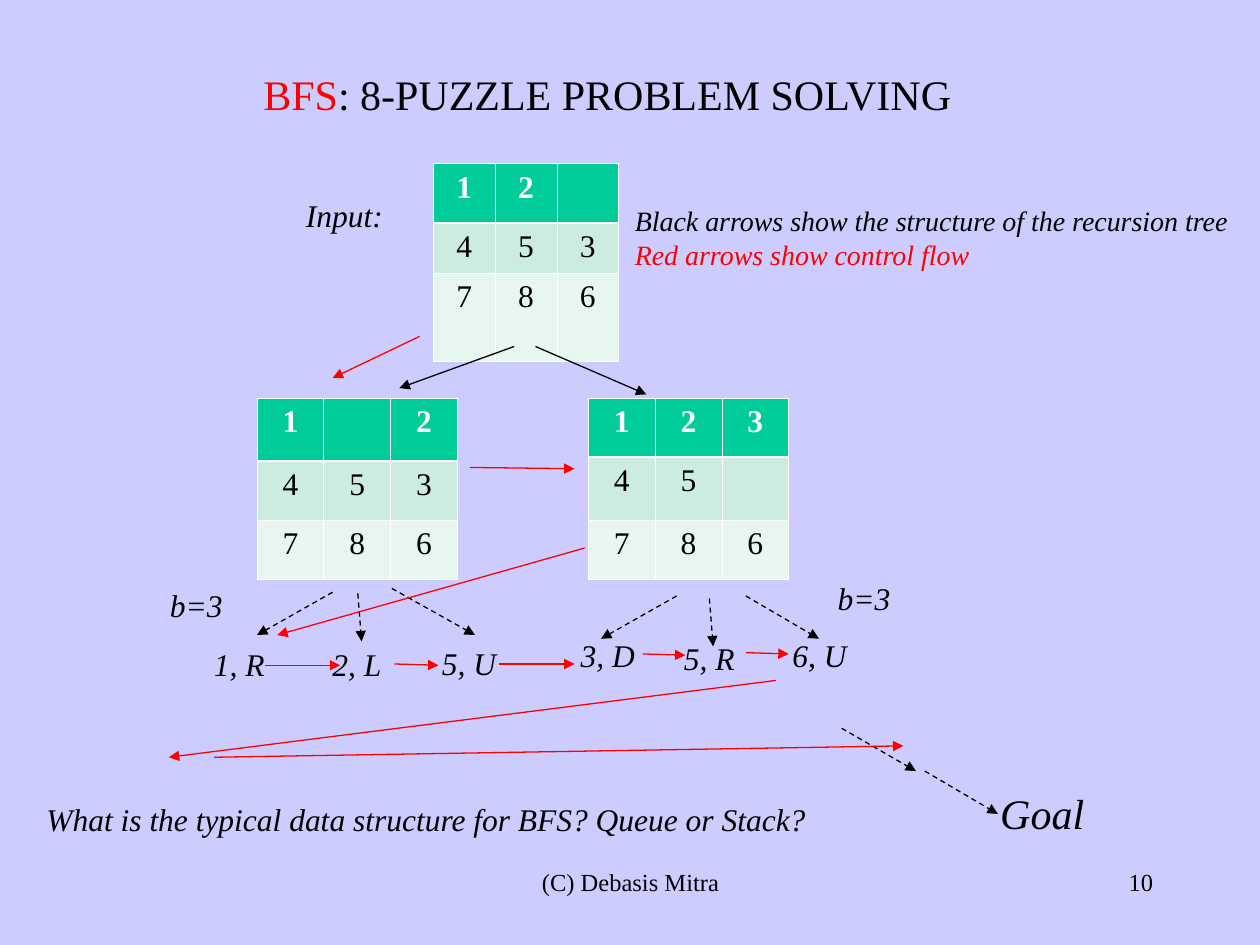
import pptx
import pptx.dml.color
import pptx.enum.dml
import pptx.enum.shapes
import pptx.enum.text
import pptx.oxml
import pptx.oxml.ns
import pptx.util
from lxml import etree

Inches, Pt = pptx.util.Inches, pptx.util.Pt
RGBColor = pptx.dml.color.RGBColor
PP_ALIGN = pptx.enum.text.PP_ALIGN
qn = pptx.oxml.ns.qn

BLACK = RGBColor(0x00, 0x00, 0x00)
WHITE = RGBColor(0xFF, 0xFF, 0xFF)
RED = RGBColor(0xFF, 0x00, 0x00)
LAVENDER = RGBColor(0xCC, 0xCC, 0xFF)
ROW_FILLS = [RGBColor(0x00, 0xCC, 0x99), RGBColor(0xCB, 0xEC, 0xDE), RGBColor(0xE7, 0xF6, 0xEF)]
FONT = "Times New Roman"


def add_text(s, lines, left, top, width, height, size=18, italic=True, align=PP_ALIGN.LEFT):
    """Add a text box; lines is a list of (text, colour)."""
    tf = s.shapes.add_textbox(Inches(left), Inches(top), Inches(width), Inches(height)).text_frame
    tf.word_wrap = not italic
    if italic:
        tf.auto_size = pptx.enum.text.MSO_AUTO_SIZE.SHAPE_TO_FIT_TEXT
    for i, (text, color) in enumerate(lines):
        p = tf.paragraphs[0] if i == 0 else tf.add_paragraph()
        p.text = text
        p.alignment = align
        p.font.name = FONT
        p.font.size = Pt(size)
        p.font.italic = italic
        p.font.color.rgb = color


def add_arrow(s, x1, y1, x2, y2, color, dashed=False):
    line = s.shapes.add_connector(pptx.enum.shapes.MSO_CONNECTOR.STRAIGHT,
                                  Inches(x1), Inches(y1), Inches(x2), Inches(y2))
    line.line.color.rgb = color
    line.line.width = Pt(0.75)
    if dashed:
        line.line.dash_style = pptx.enum.dml.MSO_LINE.DASH
    etree.SubElement(line.line._get_or_add_ln(), qn("a:tailEnd"), type="triangle")
    etree.SubElement(line._element.spPr, qn("a:effectLst"))


prs = pptx.Presentation()
prs.slide_width, prs.slide_height = Inches(10), Inches(7.5)
s = prs.slides.add_slide(prs.slide_layouts[5])
s.background.fill.solid()
s.background.fill.fore_color.rgb = LAVENDER

# Title
title = s.shapes.title
title.left, title.top, title.width, title.height = Inches(0.57), Inches(0.24), Inches(8.5), Inches(1)
title.text_frame.vertical_anchor = pptx.enum.text.MSO_ANCHOR.MIDDLE
p = title.text_frame.paragraphs[0]
p.alignment = PP_ALIGN.CENTER
p.font.name = FONT
p.font.size = Pt(24)
for text, color in [("BFS", RED), (": 8-PUZZLE PROBLEM SOLVING", BLACK)]:
    r = p.add_run()
    r.text = text
    r.font.color.rgb = color

# Puzzle boards: left, top, column width, row heights, tiles (a space is the gap)
boards = [
    (3.44, 1.3, 0.49, [0.47, 0.4, 0.7], ["12 ", "453", "786"]),
    (4.67, 3.16, 0.53, [0.47, 0.5, 0.47], ["123", "45 ", "786"]),
    (2.04, 3.16, 0.53, [0.5, 0.47, 0.47], ["1 2", "453", "786"]),
]
for left, top, col_width, row_heights, tiles in boards:
    table = s.shapes.add_table(3, 3, Inches(left), Inches(top), Inches(3 * col_width),
                               Inches(sum(row_heights))).table
    for col in table.columns:
        col.width = Inches(col_width)
    for i, row in enumerate(table.rows):
        row.height = Inches(row_heights[i])
        for tile, cell in zip(tiles[i], row.cells):
            # White borders, thicker below the first row
            for side in ("L", "R", "T", "B"):
                thick = (i, side) in [(0, "B"), (1, "T")]
                ln = etree.SubElement(cell._tc.get_or_add_tcPr(), qn("a:ln" + side),
                                      w=str(Pt(1.47 if thick else 0.45)))
                fill = etree.SubElement(ln, qn("a:solidFill"))
                etree.SubElement(fill, qn("a:srgbClr"), val=str(WHITE))
            cell.fill.solid()
            cell.fill.fore_color.rgb = ROW_FILLS[i]
            p = cell.text_frame.paragraphs[0]
            p.text = tile.strip()
            p.alignment = PP_ALIGN.CENTER
            p.font.name = FONT
            p.font.size = Pt(18)
            p.font.bold = i == 0
            p.font.color.rgb = WHITE if i == 0 else BLACK

# Recursion tree: solid arrows to the boards, dashed ones to the moves and the goal
for ends in [(4.08, 2.75, 3.17, 3.08), (4.25, 2.75, 5.13, 3.13)]:
    add_arrow(s, *ends, BLACK)
for ends in [
    (2.64, 4.7, 2.04, 5.04), (2.84, 4.71, 2.87, 5.09), (3.11, 4.67, 3.77, 5.04),
    (5.37, 4.73, 4.77, 5.07), (5.63, 4.75, 5.66, 5.13), (5.92, 4.73, 6.5, 5.07),
    (6.68, 5.78, 7.27, 6.12), (7.34, 6.12, 7.92, 6.46),
]:
    add_arrow(s, *ends, BLACK, dashed=True)

# Labels
for text, left, top, width in [
    ("Input:", 2.33, 1.51, 0.81), ("b=3", 1.25, 4.6, 0.62), ("b=3", 6.55, 4.55, 0.62),
    ("1, R", 1.6, 5.07, 0.6), ("2, L", 2.54, 5.07, 0.59), ("5, U", 3.41, 5.06, 0.63),
    ("3, D", 4.51, 5, 0.63), ("5, R", 5.33, 5.02, 0.6), ("6, U", 6.19, 5, 0.63),
    ("What is the typical data structure for BFS? Queue or Stack?", 0.27, 6.3, 6.24),
]:
    add_text(s, [(text, BLACK)], left, top, width, 0.4)
add_text(s, [("Goal", BLACK)], 7.84, 6.2, 0.9, 0.5, size=24)

# Control flow
for ends in [
    (3.33, 2.67, 2.64, 3), (3.73, 3.71, 4.56, 3.72), (4.64, 4.35, 2.2, 5.04),
    (2.1, 5.28, 2.7, 5.28), (3.13, 5.27, 3.48, 5.28), (3.96, 5.27, 4.56, 5.27),
    (5.1, 5.19, 5.44, 5.2), (5.92, 5.18, 6.26, 5.19),
    (6.16, 5.4, 1.34, 6.01), (1.7, 6.01, 7.17, 5.92),
]:
    add_arrow(s, *ends, RED)

# Legend
add_text(s, [("Black arrows show the structure of the recursion tree", BLACK),
             ("Red arrows show control flow", RED)], 4.94, 1.57, 4.94, 0.64, size=16)

# Footer and slide number
add_text(s, [("(C) Debasis Mitra", BLACK)], 3.42, 6.83, 3.17, 0.5,
         size=14, italic=False, align=PP_ALIGN.CENTER)
add_text(s, [("10", BLACK)], 7.17, 6.83, 2.08, 0.5,
         size=14, italic=False, align=PP_ALIGN.RIGHT)

prs.save("out.pptx")
